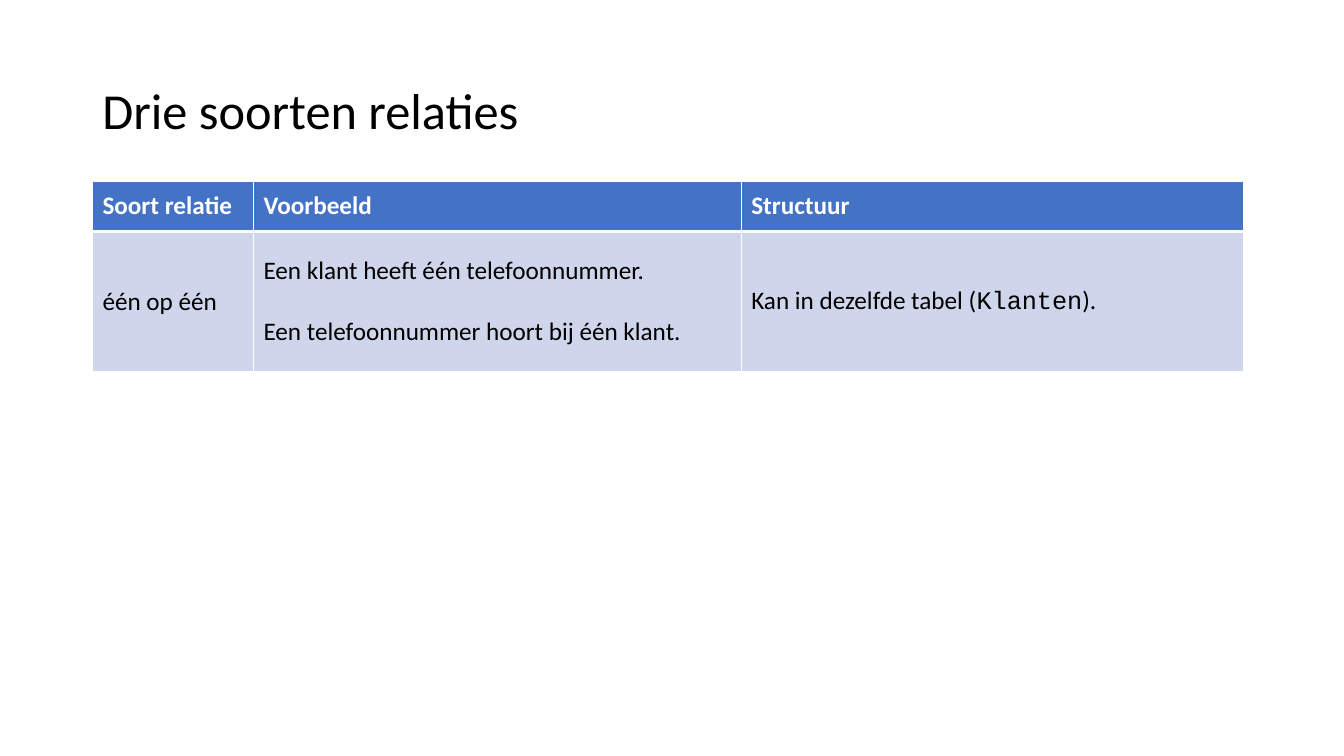
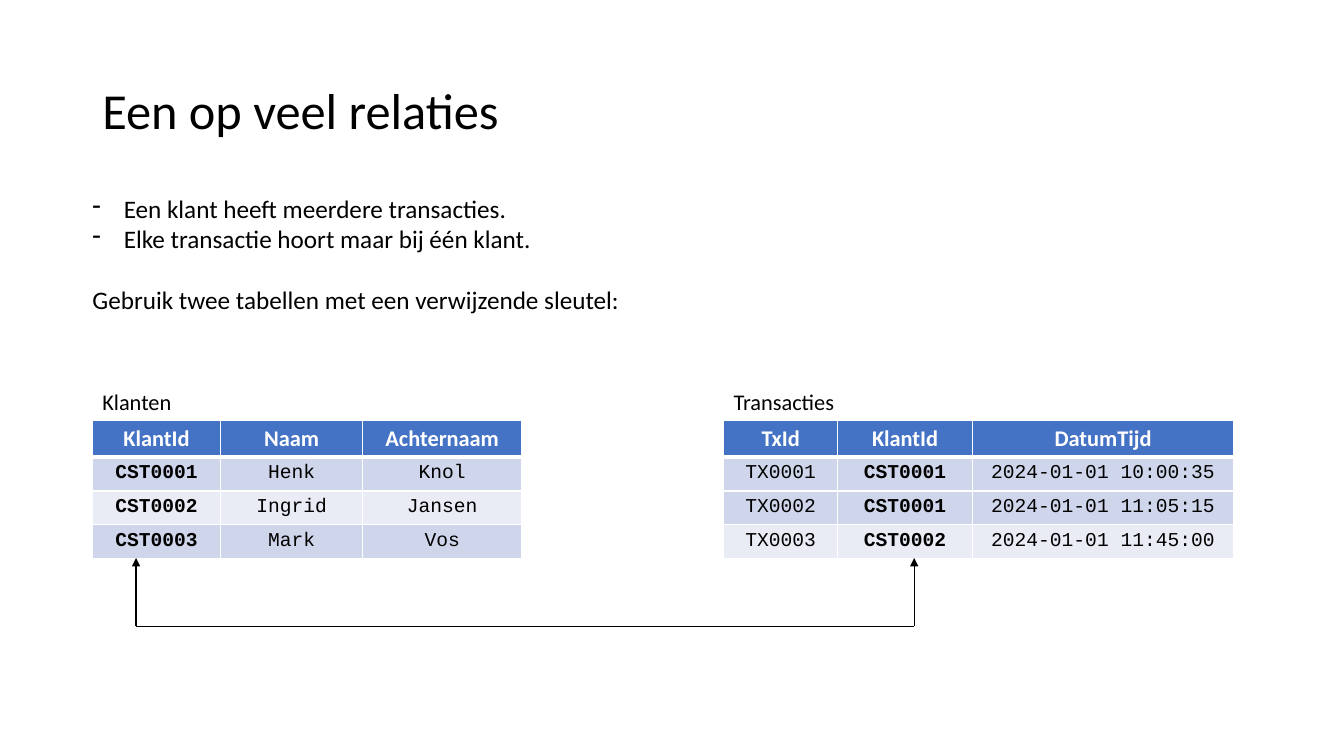
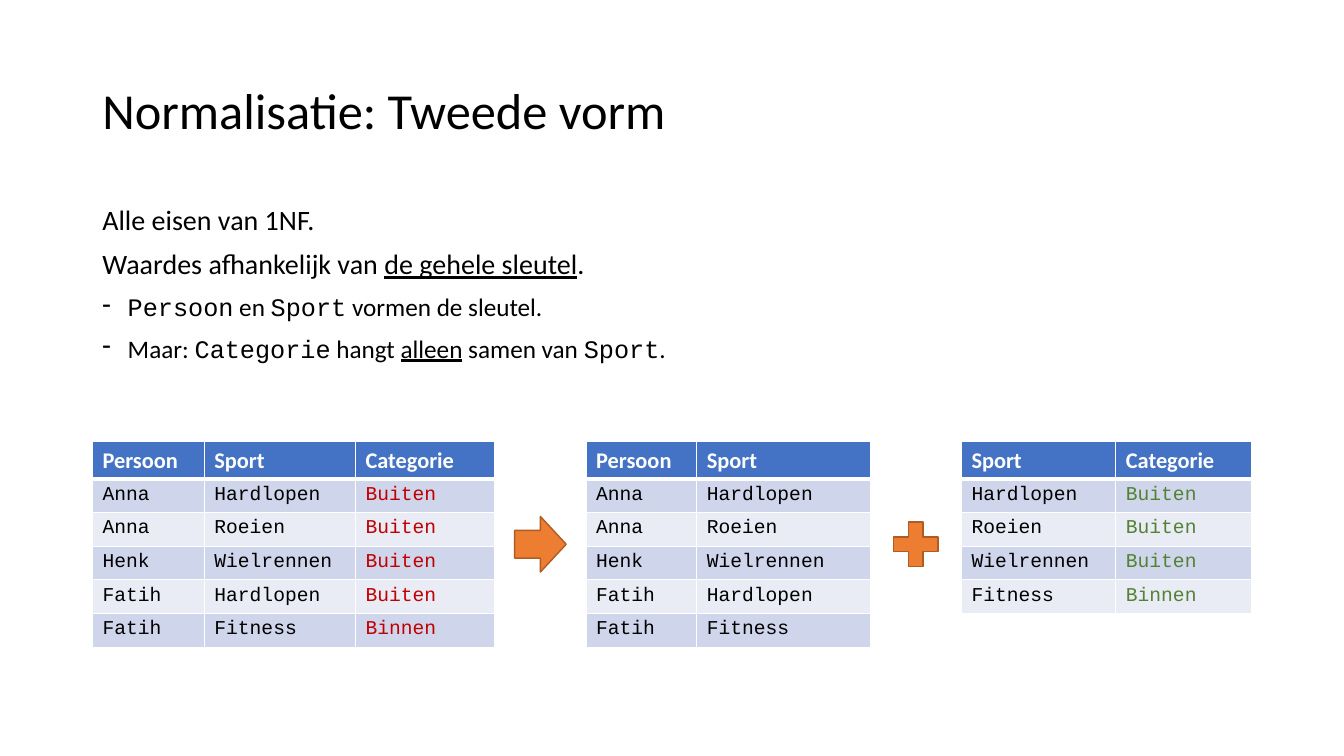
"""Builds three slides about relations between tables and normalisation."""
from lxml.etree import SubElement
from pptx import Presentation
from pptx.dml.color import RGBColor
from pptx.enum.shapes import MSO_CONNECTOR, MSO_SHAPE
from pptx.enum.text import MSO_ANCHOR, PP_ALIGN
from pptx.oxml.ns import qn
from pptx.util import Cm, Pt

CENTER, MIDDLE, TOP = PP_ALIGN.CENTER, MSO_ANCHOR.MIDDLE, MSO_ANCHOR.TOP
STRAIGHT = MSO_CONNECTOR.STRAIGHT
ARROW, PLUS = MSO_SHAPE.RIGHT_ARROW, MSO_SHAPE.MATH_PLUS

BLACK = RGBColor(0x00, 0x00, 0x00)
WHITE = RGBColor(0xFF, 0xFF, 0xFF)
BLUE = RGBColor(0x44, 0x72, 0xC4)
BANDS = (RGBColor(0xCF, 0xD5, 0xEA), RGBColor(0xE9, 0xEB, 0xF5))
ORANGE = RGBColor(0xED, 0x7D, 0x31)
BROWN = RGBColor(0xAF, 0x5C, 0x24)
RED = {"color": {"rgb": RGBColor(0xC0, 0x00, 0x00)}}
GREEN = {"color": {"rgb": RGBColor(0x54, 0x82, 0x35)}}

CODE = {"name": "Courier New"}
UNDERLINE = {"underline": True}
BOLD = {"bold": True}
TEXT = {"name": "Calibri", "size": Pt(18), "color": {"rgb": BLACK}}
TITLE = {**TEXT, "size": Pt(36)}
LEAD = {**TEXT, "size": Pt(20)}
LABEL = {**TEXT, "size": Pt(16)}
TEXT_HEADER = {**TEXT, "bold": True, "color": {"rgb": WHITE}}
DATA_HEADER = {**TEXT_HEADER, "size": Pt(16)}
DATA = {**TEXT, **CODE, "size": Pt(14)}

BLANK_LINE = {"space_before": Pt(22)}
TIGHT = {"line_spacing": 0.9}
BODY = {**TIGHT, "space_before": Pt(10)}

TEXT_TABLE = {"header": TEXT_HEADER, "body": TEXT, "heights": (Cm(1.27), Cm(3.53)),
              "anchor": MIDDLE, "layout": {}}
DATA_TABLE = {"header": DATA_HEADER, "body": DATA, "heights": (Cm(0.92), Cm(0.85)),
              "anchor": TOP, "layout": {}}
CENTERED_TABLE = {**DATA_TABLE, "layout": {"alignment": CENTER}}

LEFT, CONTENT_WIDTH = Cm(2.33), Cm(29.21)


def apply(target, values):
    """Set attributes from a dict, following nested dicts."""
    for name, value in values.items():
        if isinstance(value, dict):
            apply(getattr(target, name), value)
        else:
            setattr(target, name, value)


def write(frame, paragraphs):
    """Fill a frame with (runs, font, layout, hanging indent) paragraphs."""
    for index, (runs, font, layout, indent) in enumerate(paragraphs):
        paragraph = frame.add_paragraph() if index else frame.paragraphs[0]
        apply(paragraph, layout)
        if indent:
            properties = paragraph._p.get_or_add_pPr()
            properties.set("marL", str(indent))
            properties.set("indent", str(-indent))
            SubElement(properties, qn("a:buChar")).set("char", "-")
        for words, accent in runs:
            run = paragraph.add_run()
            run.text = words
            apply(run.font, {**font, **accent})


def plain(words, font, layout=None, indent=0):
    """Describe a paragraph of a single run."""
    return [(words, {})], font, layout or {}, indent


def add_text(slide, box, paragraphs, **frame_format):
    """Place wrapped text in a box."""
    frame = slide.shapes.add_textbox(*box).text_frame
    apply(frame, {"word_wrap": True, **frame_format})
    write(frame, paragraphs)


def add_titled_slide(deck, title):
    """Add a blank slide with the shared title."""
    slide = deck.slides.add_slide(deck.slide_layouts[6])
    add_text(slide, (LEFT, Cm(1.02), CONTENT_WIDTH, Cm(3.68)),
             [plain(title, TITLE, TIGHT)], vertical_anchor=MIDDLE)
    return slide


def style_cell(cell, fill, anchor, top, bottom):
    """Give a cell white borders, a fill and an anchor."""
    properties = cell._tc.get_or_add_tcPr()
    for side, width in (("L", 1), ("R", 1), ("T", top), ("B", bottom)):
        border = SubElement(properties, qn(f"a:ln{side}"), w=str(Pt(width)))
        color = SubElement(SubElement(border, qn("a:solidFill")), qn("a:srgbClr"))
        color.set("val", str(WHITE))
    cell.fill.solid()
    cell.fill.fore_color.rgb = fill
    cell.vertical_anchor = anchor


def add_table(slide, left, top, widths, rows, style, accents=None, bands=None):
    """Place a table whose first row is the header."""
    header_height, row_height = style["heights"]
    height = header_height + row_height * (len(rows) - 1)
    frame = slide.shapes.add_table(len(rows), len(widths), left, top, sum(widths), height)
    table = frame.table
    table.horz_banding = False
    for column, width in zip(table.columns, widths):
        column.width = width
    for r, row in enumerate(rows):
        table.rows[r].height = row_height if r else header_height
        band = bands[r - 1] if bands else (r - 1) % 2
        for c, content in enumerate(row):
            cell = table.cell(r, c)
            style_cell(cell, BANDS[band] if r else BLUE, style["anchor"],
                       3 if r == 1 else 1, 1 if r else 3)
            font = style["body"] if r else style["header"]
            if r and accents:
                font = {**font, **accents[c]}
            if isinstance(content, str):
                content = [plain(content, font, style["layout"])]
            write(cell.text_frame, content)
    return frame


def add_labelled_table(slide, label, left, top, widths, rows, **options):
    """Place a centred table with its name above it."""
    label_height = Cm(0.94)
    add_text(slide, (left, top - label_height, sum(widths), label_height),
             [plain(label, LABEL)])
    return add_table(slide, left, top, widths, rows, CENTERED_TABLE, **options)


def add_line(slide, start, end, arrow=False):
    """Draw a thin black line, with an arrowhead at its end if asked."""
    line = slide.shapes.add_connector(STRAIGHT, *start, *end)
    apply(line.line, {"width": Pt(1), "color": {"rgb": BLACK}})
    properties = line.element.spPr
    if arrow:
        SubElement(properties.find(qn("a:ln")), qn("a:tailEnd"), type="triangle")
    SubElement(properties, qn("a:effectLst"))


def add_key_link(slide, first_x, second_x, top, depth):
    """Join two columns from below with arrows pointing up."""
    bottom = top + depth
    for x in (first_x, second_x):
        add_line(slide, (x, bottom), (x, top), arrow=True)
    add_line(slide, (first_x, bottom), (second_x, bottom))


def add_operator(slide, kind, center_x, center_y, width, height):
    """Place an orange sign around a centre point."""
    sign = slide.shapes.add_shape(kind, center_x - width // 2, center_y - height // 2,
                                  width, height)
    sign.shadow.inherit = False
    sign.fill.solid()
    sign.fill.fore_color.rgb = ORANGE
    apply(sign.line, {"width": Pt(1), "color": {"rgb": BROWN}})


def build_relation_kinds(deck):
    """Build the slide with the kinds of relations."""
    slide = add_titled_slide(deck, "Drie soorten relaties")
    example = [plain("Een klant heeft één telefoonnummer.", TEXT),
               plain("Een telefoonnummer hoort bij één klant.", TEXT, BLANK_LINE)]
    structure = [([("Kan in dezelfde tabel (", {}), ("Klanten", CODE), (").", {})],
                  TEXT, {}, 0)]
    add_table(slide, LEFT, Cm(4.56), (Cm(4.06), Cm(12.29), Cm(12.65)),
              [("Soort relatie", "Voorbeeld", "Structuur"),
               ("één op één", example, structure)], TEXT_TABLE)


def build_one_to_many(deck):
    """Build the slide with two tables joined by a key."""
    slide = add_titled_slide(deck, "Een op veel relaties")
    hanging = Cm(0.79)
    add_text(slide, (LEFT, Cm(4.75), CONTENT_WIDTH, Cm(3.33)),
             [plain("Een klant heeft meerdere transacties.", TEXT, indent=hanging),
              plain("Elke transactie hoort maar bij één klant.", TEXT, indent=hanging),
              plain("Gebruik twee tabellen met een verwijzende sleutel:", TEXT, BLANK_LINE)],
             margin_left=0, margin_right=0)
    top = Cm(10.59)
    customers = add_labelled_table(
        slide, "Klanten", LEFT, top, (Cm(3.23), Cm(3.58), Cm(4.01)),
        [("KlantId", "Naam", "Achternaam"),
         ("CST0001", "Henk", "Knol"),
         ("CST0002", "Ingrid", "Jansen"),
         ("CST0003", "Mark", "Vos")], accents=(BOLD, {}, {}))
    transactions = add_labelled_table(
        slide, "Transacties", Cm(18.24), top, (Cm(2.87), Cm(3.4), Cm(6.58)),
        [("TxId", "KlantId", "DatumTijd"),
         ("TX0001", "CST0001", "2024-01-01 10:00:35"),
         ("TX0002", "CST0001", "2024-01-01 11:05:15"),
         ("TX0003", "CST0002", "2024-01-01 11:45:00")],
        accents=({}, BOLD, {}), bands=(0, 0, 1))
    add_key_link(slide, customers.left + Cm(1.1), transactions.left + Cm(4.8),
                 top + customers.height, Cm(1.72))


def build_second_form(deck):
    """Build the slide that splits a table into two."""
    slide = add_titled_slide(deck, "Normalisatie: Tweede vorm")
    hanging = Cm(0.64)
    whole_key = [("Waardes afhankelijk van ", {}), ("de gehele sleutel", UNDERLINE), (".", {})]
    key_parts = [("Persoon", CODE), (" en ", {}), ("Sport", CODE), (" vormen de sleutel.", {})]
    dependency = [("Maar: ", {}), ("Categorie", CODE), (" hangt ", {}), ("alleen", UNDERLINE),
                  (" samen van ", {}), ("Sport", CODE), (".", {})]
    add_text(slide, (LEFT, Cm(5.08), CONTENT_WIDTH, Cm(5.8)),
             [plain("Alle eisen van 1NF.", LEAD, BODY),
              (whole_key, LEAD, BODY, 0),
              (key_parts, TEXT, BODY, hanging),
              (dependency, TEXT, BODY, hanging)])

    people = [("Persoon", "Sport"), ("Anna", "Hardlopen"), ("Anna", "Roeien"),
              ("Henk", "Wielrennen"), ("Fatih", "Hardlopen"), ("Fatih", "Fitness")]
    sports = [("Sport", "Categorie"), ("Hardlopen", "Buiten"), ("Roeien", "Buiten"),
              ("Wielrennen", "Buiten"), ("Fitness", "Binnen")]
    category = dict(sports)
    combined = [(person, sport, category[sport]) for person, sport in people]
    tables = (((Cm(2.82), Cm(3.81), Cm(3.51)), combined, ({}, {}, RED)),
              ((Cm(2.79), Cm(4.37)), people, None),
              ((Cm(3.89), Cm(3.43)), sports, ({}, GREEN)))
    left, top, gap = LEFT, Cm(11.13), Cm(2.3)
    frames = []
    for widths, rows, accents in tables:
        frames.append(add_table(slide, left, top, widths, rows, DATA_TABLE, accents))
        left += sum(widths) + gap
    middle = top + frames[0].height // 2
    signs = ((ARROW, Cm(1.3), Cm(1.4)), (PLUS, Cm(1.52), Cm(1.52)))
    for frame, (kind, width, height) in zip(frames, signs):
        add_operator(slide, kind, frame.left + frame.width + gap // 2, middle, width, height)


def main():
    """Build and save the presentation."""
    deck = Presentation()
    apply(deck, {"slide_width": Cm(33.87), "slide_height": Cm(19.05)})
    for build in (build_relation_kinds, build_one_to_many, build_second_form):
        build(deck)
    deck.save("out.pptx")


if __name__ == "__main__":
    main()
